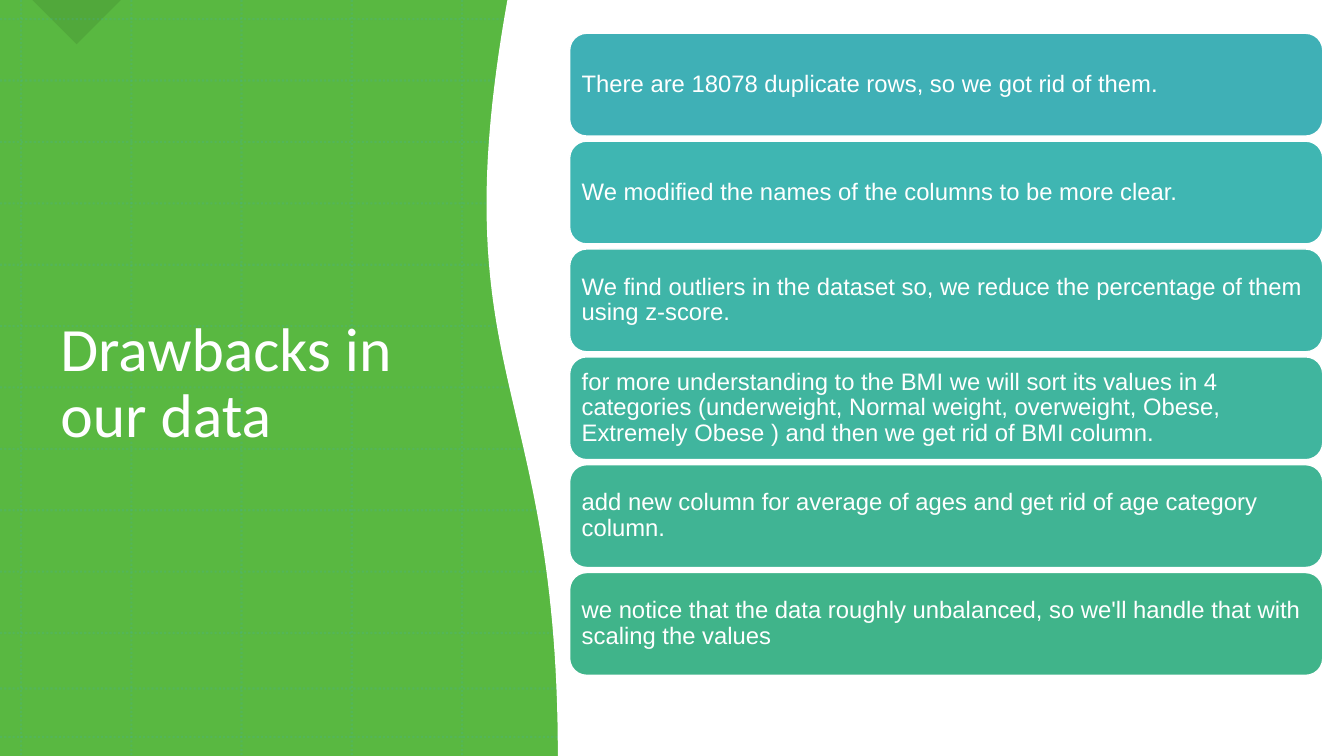
from lxml import etree
from pptx import Presentation
from pptx.dml.color import RGBColor
from pptx.enum import dml, shapes, text
from pptx.oxml import ns
from pptx.util import Inches, Pt

# Content
TITLE = "Drawbacks in our data"
STEPS = [
    ("There are 18078 duplicate rows, so we got rid of them.", RGBColor(0x3F, 0xB0, 0xB6)),
    ("We modified the names of the columns to be more clear.", RGBColor(0x3F, 0xB6, 0xB2)),
    ("We find outliers in the dataset so, we reduce the percentage of them using z-score.",
     RGBColor(0x3F, 0xB5, 0xA8)),
    ("for more understanding to the BMI we will sort its values in 4 categories "
     "(underweight, Normal weight, overweight, Obese, Extremely Obese ) "
     "and then we get rid of BMI column.", RGBColor(0x40, 0xB5, 0x9E)),
    ("add new column for average of ages and get rid of age category column.",
     RGBColor(0x40, 0xB4, 0x94)),
    ("we notice that the data roughly unbalanced, so we'll handle that with scaling the values",
     RGBColor(0x40, 0xB4, 0x8A)),
]
GREEN = RGBColor(0x59, 0xB8, 0x41)
DARK_GREEN = RGBColor(0x2C, 0x5C, 0x20)
TEAL = RGBColor(0x3F, 0xB0, 0xB6)
WHITE = RGBColor(0xFF, 0xFF, 0xFF)

# Layout, in inches
WIDTH, HEIGHT = 13.33, 7.5
GRID_X = [0.21 + 1.093 * i for i in range(5)]
GRID_Y = [0.19 + 0.609 * i for i in range(11)] + [6.83, 7.31]
CURVE = [(5.54, 7.5), (5.54, 3.76), (4.37, 3.74), (5.04, 0)]  # Bezier control points
CURVE_STEPS = 60
STEP_X, STEP_Y, STEP_W, STEP_H, STEP_PITCH = 5.65, 0.33, 7.47, 1.02, 1.07

prs = Presentation()
prs.slide_width, prs.slide_height = Inches(WIDTH), Inches(HEIGHT)
s = prs.slides.add_slide(prs.slide_layouts[6])


def set_alpha(fill_parent, percent):
    color = fill_parent.find(".//" + ns.qn("a:srgbClr"))
    etree.SubElement(color, ns.qn("a:alpha")).set("val", str(percent * 1000))


def paint(sp, fill, line=None):
    sp.shadow.inherit = False
    sp.fill.solid()
    sp.fill.fore_color.rgb = fill
    if line is None:
        sp.line.fill.background()
    else:
        sp.line.color.rgb = line
        sp.line.width = Pt(1)


def add_block(kind, x, y, w, h, fill, line=None):
    sp = s.shapes.add_shape(kind, Inches(x), Inches(y), Inches(w), Inches(h))
    paint(sp, fill, line)
    return sp


def add_grid_line(x1, y1, x2, y2):
    c = s.shapes.add_connector(shapes.MSO_CONNECTOR.STRAIGHT,
                               Inches(x1), Inches(y1), Inches(x2), Inches(y2))
    c.line.color.rgb = TEAL
    c.line.width = Pt(1.5)
    c.line.dash_style = dml.MSO_LINE.ROUND_DOT
    props = c._element.spPr
    set_alpha(props, 20)
    etree.SubElement(props, ns.qn("a:effectLst"))


def write(tf, words, size, font):
    tf.word_wrap = True
    tf.vertical_anchor = text.MSO_ANCHOR.MIDDLE
    tf.text = words
    p = tf.paragraphs[0]
    p.alignment = text.PP_ALIGN.LEFT
    p.line_spacing = 0.9
    r = p.runs[0]
    r.font.size, r.font.name = Pt(size), font
    r.font.color.rgb = WHITE


def curve_point(t):
    weights = [(1 - t) ** 3, 3 * t * (1 - t) ** 2, 3 * t ** 2 * (1 - t), t ** 3]
    return tuple(Inches(sum(w * pt[axis] for w, pt in zip(weights, CURVE)))
                 for axis in (0, 1))


# Green background with corner triangle and dotted grid
add_block(shapes.MSO_SHAPE.RECTANGLE, 0, 0, WIDTH, HEIGHT, GREEN)
corner = add_block(shapes.MSO_SHAPE.RIGHT_TRIANGLE, 0.45, -0.31, 0.62, 0.62, DARK_GREEN)
corner.rotation = 315
set_alpha(corner._element.spPr, 17)
for x in GRID_X:
    add_grid_line(x, 0, x, HEIGHT)
for y in GRID_Y:
    add_grid_line(0, y, WIDTH, y)

# Title
title = s.shapes.add_textbox(Inches(0.5), Inches(0.79), Inches(4.08), Inches(6.05))
write(title.text_frame, TITLE, 44, "Calibri")

# White panel with a curved left edge
builder = s.shapes.build_freeform(Inches(WIDTH), 0)
edge = [curve_point(i / CURVE_STEPS) for i in range(CURVE_STEPS + 1)]
builder.add_line_segments([(Inches(WIDTH), Inches(HEIGHT))] + edge, close=True)
paint(builder.convert_to_shape(), WHITE, WHITE)

# Steps
for i, (words, color) in enumerate(STEPS):
    sp = add_block(shapes.MSO_SHAPE.ROUNDED_RECTANGLE, STEP_X, STEP_Y + i * STEP_PITCH,
                   STEP_W, STEP_H, color, WHITE)
    tf = sp.text_frame
    tf.margin_left = tf.margin_right = tf.margin_top = tf.margin_bottom = Inches(0.07)
    write(tf, words, 17, "Arial")

prs.save("out.pptx")
